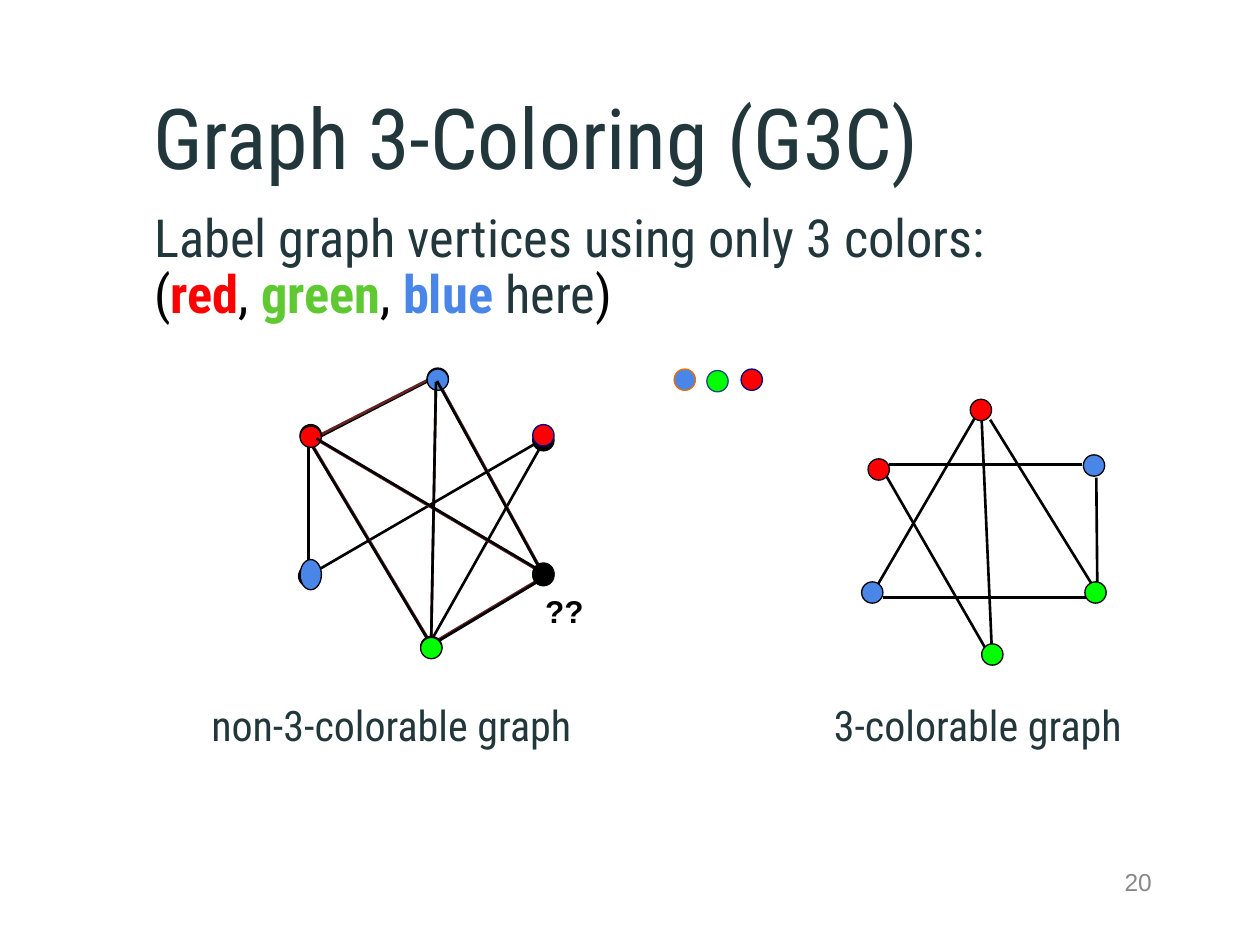
from dataclasses import dataclass

import pptx
import pptx.dml.color
import pptx.enum.shapes
import pptx.enum.text
import pptx.oxml.ns
import pptx.util
from pptx.util import Cm

BLACK, BROWN, SLATE, GRAY = "000000", "632423", "22373B", "888888"
RED, GREEN, BLUE = "FF0000", "00FF00", "4A86E8"
NAVY = "00007F"
CONDENSED = "Roboto Condensed"
DOT = 0.43
SHIFT = 0.03  # drop of the black edges below the brown ones
ANCHOR = pptx.enum.text.MSO_ANCHOR
ALIGN = pptx.enum.text.PP_ALIGN


@dataclass
class Edge:
    x1: float
    y1: float
    x2: float
    y2: float
    color: str = BLACK


@dataclass
class Vertex:
    left: float
    top: float
    fill: str
    line: str = BLACK
    height: float = DOT


@dataclass
class Run:
    text: str
    color: str = SLATE
    bold: bool = False


@dataclass
class Label:
    left: float
    top: float
    width: float
    height: float
    paragraphs: list[list[Run]]
    size: float
    font: str = CONDENSED
    anchor: ANCHOR = ANCHOR.TOP
    align: ALIGN = ALIGN.LEFT
    margins: tuple[float, float] = (0.25, 0.13)
    indent: float = 0
    line_spacing: float = 1.0


LEFT_EDGES = [
    Edge(8.69, 7.65, 6.22, 8.92),
    Edge(8.76, 7.59, 6.27, 8.86, BROWN),
    Edge(6.22, 11.58, 6.22, 8.74),
    Edge(11.02, 8.79, 8.61, 13.06),
    Edge(10.97, 8.84, 6.17, 11.63),
]
RIGHT_EDGES = [
    Edge(19.96, 8.46, 22, 11.76),
    Edge(21.82, 9.37, 17.93, 9.37),
    Edge(19.99, 12.98, 19.79, 8.48),
    Edge(22.1, 9.63, 22.12, 11.76),
    Edge(21.92, 12.04, 17.81, 12.04),
    Edge(17.83, 9.53, 19.86, 13.06),
    Edge(19.66, 8.41, 17.68, 11.81),
]
DOUBLED_EDGES = [
    Edge(8.79, 7.67, 8.69, 13, BROWN),
    Edge(8.81, 7.65, 10.95, 11.56, BROWN),
    Edge(6.22, 8.84, 8.74, 13.06, BROWN),
    Edge(10.95, 11.63, 8.66, 13, BROWN),
]
BLACK_EDGES = [Edge(e.x1, e.y1 + SHIFT, e.x2, e.y2 + SHIFT) for e in DOUBLED_EDGES]
BROWN_DIAGONAL = Edge(10.95, 11.56, 6.3, 8.81, BROWN)
BLACK_DIAGONAL = Edge(11.02, 11.58, 6.38, 8.84)

BACK_VERTICES = [
    Vertex(8.61, 7.42, BROWN),
    Vertex(10.74, 11.35, BROWN),
    Vertex(6.05, 8.56, BROWN),
    Vertex(8.48, 12.83, BROWN),
]
RIGHT_VERTICES = [
    Vertex(21.84, 9.17, BLUE),
    Vertex(17.5, 9.25, RED),
    Vertex(21.87, 11.73, GREEN),
    Vertex(17.37, 11.73, BLUE),
    Vertex(19.79, 12.98, GREEN),
    Vertex(19.56, 8.05, RED),
]
LEGEND = [
    Vertex(14.94, 7.44, RED, NAVY),
    Vertex(14.25, 7.47, GREEN, "1F497D"),
    Vertex(13.59, 7.44, BLUE, "EF6C00"),
]
# From back to front
DRAWING = [
    *LEFT_EDGES,
    *RIGHT_EDGES,
    Vertex(10.74, 8.66, BLACK),
    Vertex(6.02, 11.4, BLACK),
    *DOUBLED_EDGES,
    BROWN_DIAGONAL,
    *BACK_VERTICES,
    *RIGHT_VERTICES,
    Vertex(8.61, 7.44, BLUE),
    Vertex(10.74, 11.38, BLACK),
    *BLACK_EDGES,
    Vertex(6.05, 8.59, RED),
    Vertex(8.48, 12.85, GREEN),
    BLACK_DIAGONAL,
    *LEGEND,
    Vertex(6.05, 11.28, BLUE, height=0.61),
    Vertex(10.74, 8.56, RED, NAVY),
]

COLOR_RUNS = [
    Run("(", BLACK), Run("red", RED, True), Run(", ", BLACK),
    Run("green", "5FC931", True), Run(", ", BLACK),
    Run("blue ", BLUE, True), Run("here"), Run(")", BLACK),
]
LABELS = [
    Label(2.84, 1.91, 19.76, 1.68, [[Run("Graph 3-Coloring (G3C)")]], 48,
          anchor=ANCHOR.MIDDLE),
    Label(1.91, 4.14, 21.59, 2.74,
          [[Run("Label graph vertices using only 3 colors:")], COLOR_RUNS], 30,
          indent=0.95, line_spacing=0.9),
    Label(16.56, 13.97, 6.58, 1.09, [[Run("3-colorable graph")]], 24),
    Label(4.01, 13.97, 8.33, 1.09, [[Run("non-3-colorable graph")]], 24),
    Label(18.95, 17.48, 4.27, 0.61, [[Run("20", GRAY)]], 14, "Arial",
          align=ALIGN.RIGHT, margins=(0, 0)),
    Label(10.74, 11.91, 1.63, 0.81, [[Run("??", BLACK, True)]], 18, "Arial",
          ANCHOR.MIDDLE, margins=(0.25, 0.25)),
]


def paint(color_format, color: str) -> None:
    color_format.rgb = pptx.dml.color.RGBColor.from_string(color)


def draw_edge(slide, edge: Edge) -> None:
    connector = slide.shapes.add_connector(
        pptx.enum.shapes.MSO_CONNECTOR.STRAIGHT,
        Cm(edge.x1), Cm(edge.y1), Cm(edge.x2), Cm(edge.y2))
    paint(connector.line.color, edge.color)
    connector.line.width = pptx.util.Pt(1.5)
    properties = connector.element.spPr
    properties.append(properties.makeelement(pptx.oxml.ns.qn("a:effectLst"), {}))


def draw_vertex(slide, vertex: Vertex) -> None:
    shape = slide.shapes.add_shape(
        pptx.enum.shapes.MSO_SHAPE.OVAL,
        Cm(vertex.left), Cm(vertex.top), Cm(DOT), Cm(vertex.height))
    shape.shadow.inherit = False
    shape.fill.solid()
    paint(shape.fill.fore_color, vertex.fill)
    paint(shape.line.color, vertex.line)
    shape.line.width = pptx.util.Pt(0.75)


def draw_label(slide, label: Label) -> None:
    box = slide.shapes.add_textbox(
        Cm(label.left), Cm(label.top), Cm(label.width), Cm(label.height))
    frame = box.text_frame
    frame.word_wrap = True
    frame.vertical_anchor = label.anchor
    frame.margin_left = frame.margin_right = Cm(label.margins[0])
    frame.margin_top = frame.margin_bottom = Cm(label.margins[1])
    for index, runs in enumerate(label.paragraphs):
        paragraph = frame.add_paragraph() if index else frame.paragraphs[0]
        paragraph.alignment = label.align
        paragraph.line_spacing = label.line_spacing
        if label.indent:
            paragraph._p.get_or_add_pPr().set("marL", str(Cm(label.indent)))
        for part in runs:
            run = paragraph.add_run()
            run.text = part.text
            run.font.name = label.font
            run.font.size = pptx.util.Pt(label.size)
            run.font.bold = part.bold
            paint(run.font.color, part.color)


def main() -> None:
    presentation = pptx.Presentation()
    presentation.slide_width, presentation.slide_height = Cm(25.4), Cm(19.05)
    slide = presentation.slides.add_slide(presentation.slide_layouts[6])
    for item in DRAWING:
        if isinstance(item, Edge):
            draw_edge(slide, item)
        else:
            draw_vertex(slide, item)
    for label in LABELS:
        draw_label(slide, label)
    presentation.save("out.pptx")


if __name__ == "__main__":
    main()
